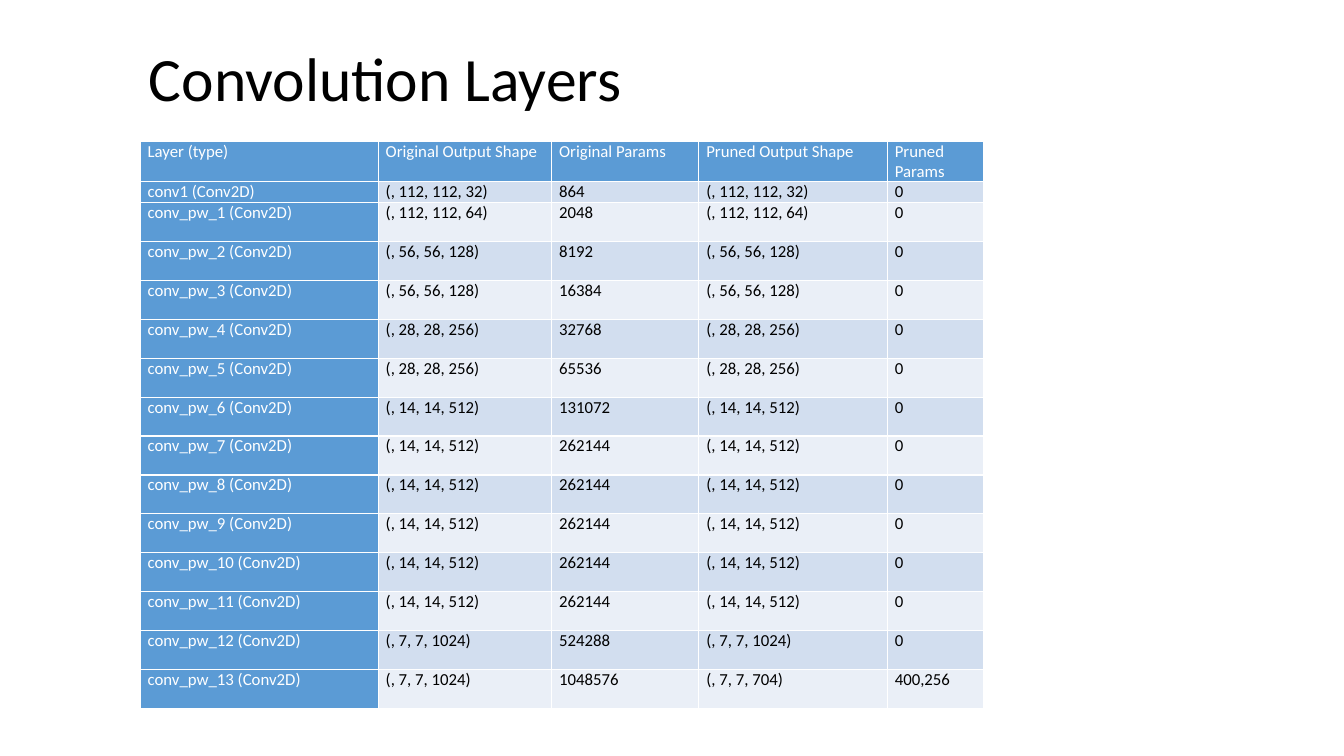
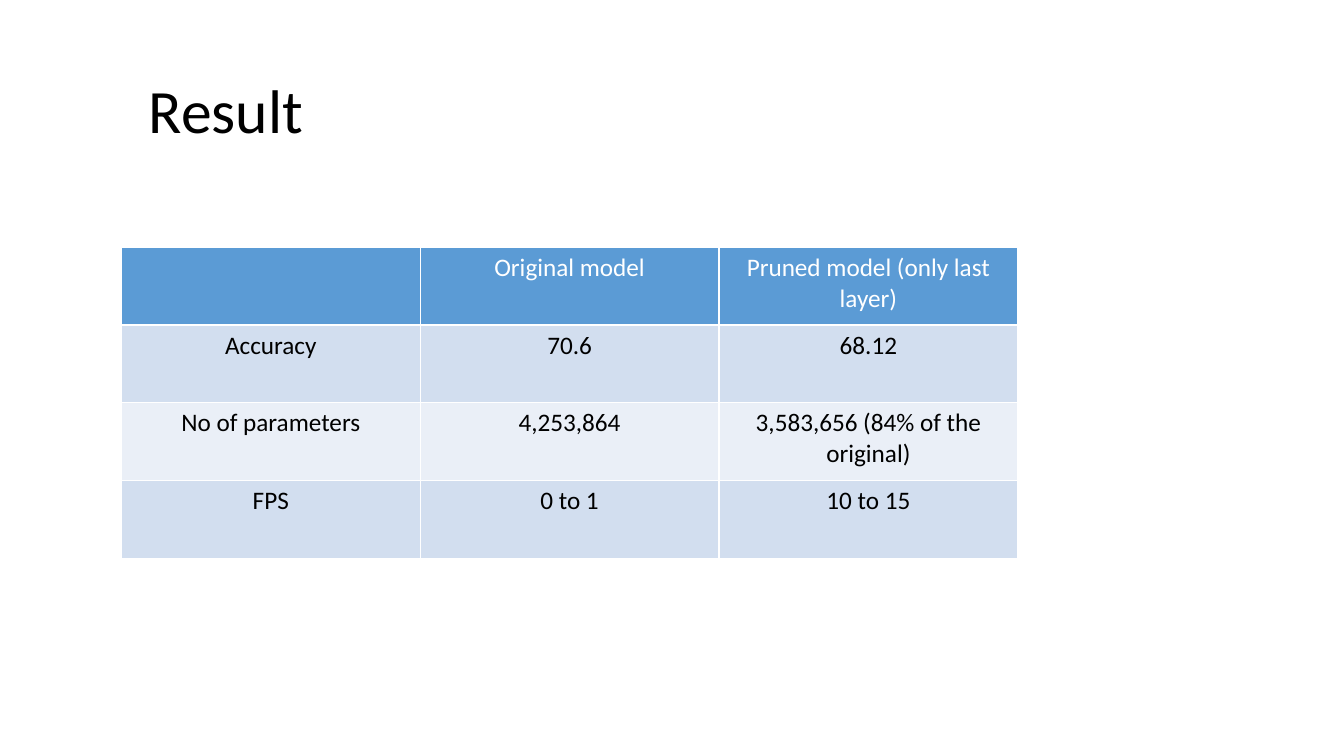
import pptx
import pptx.dml.color
import pptx.enum.text
import pptx.util

Cm, Pt = pptx.util.Cm, pptx.util.Pt
RGBColor = pptx.dml.color.RGBColor
PP_ALIGN = pptx.enum.text.PP_ALIGN

BLACK = RGBColor(0x00, 0x00, 0x00)
WHITE = RGBColor(0xFF, 0xFF, 0xFF)
HEADER_BLUE = RGBColor(0x5B, 0x9B, 0xD5)
BAND_COLORS = (RGBColor(0xEA, 0xEF, 0xF7), RGBColor(0xD2, 0xDE, 0xEF))


class Deck:
    """Holds the shared style and the current slide."""

    font = "Calibri"
    title_size = 44
    title_left, title_top, title_width = 3.5, 1.02, 26.92

    def __init__(self):
        self.presentation = pptx.Presentation()
        self.presentation.slide_width = Cm(33.87)
        self.presentation.slide_height = Cm(19.05)
        self.slide = None

    def add_slide(self, title, title_height):
        blank = self.presentation.slide_layouts[6]
        self.slide = self.presentation.slides.add_slide(blank)
        heading = self.slide.shapes.add_textbox(
            Cm(self.title_left), Cm(self.title_top),
            Cm(self.title_width), Cm(title_height)).text_frame
        heading.word_wrap = True
        heading.vertical_anchor = pptx.enum.text.MSO_ANCHOR.MIDDLE
        heading.paragraphs[0].line_spacing = 0.9
        self.add_run(heading.paragraphs[0], title, self.title_size, BLACK)

    def add_run(self, paragraph, text, size, color):
        run = paragraph.add_run()
        run.text = text
        run.font.name = self.font
        run.font.size = Pt(size)
        run.font.bold = False
        run.font.color.rgb = color

    def add_table(self, left, top, widths, heights, rows, size,
                  align=PP_ALIGN.LEFT, header_column=False, margins=None):
        """Add a banded table; margins are (side, top and bottom)."""
        table = self.slide.shapes.add_table(
            len(rows), len(widths), Cm(left), Cm(top),
            Cm(sum(widths)), Cm(sum(heights))).table
        table.first_col = header_column
        for column, width in zip(table.columns, widths):
            column.width = Cm(width)
        for r, (row, height, texts) in enumerate(zip(table.rows, heights, rows)):
            row.height = Cm(height)
            for c, (cell, text) in enumerate(zip(row.cells, texts)):
                is_header = r == 0 or (header_column and c == 0)
                cell.fill.solid()
                cell.fill.fore_color.rgb = HEADER_BLUE if is_header else BAND_COLORS[r % 2]
                if margins:
                    cell.margin_left = cell.margin_right = Cm(margins[0])
                    cell.margin_top = cell.margin_bottom = Cm(margins[1])
                paragraph = cell.text_frame.paragraphs[0]
                paragraph.alignment = align
                if text:
                    self.add_run(paragraph, text, size, WHITE if is_header else BLACK)


def convolution_rows():
    """Header, then one row per layer; only the last layer is pruned."""
    layers = [
        ("(, 112, 112, 32)", "864"),
        ("(, 112, 112, 64)", "2048"),
        ("(, 56, 56, 128)", "8192"),
        ("(, 56, 56, 128)", "16384"),
        ("(, 28, 28, 256)", "32768"),
        ("(, 28, 28, 256)", "65536"),
        ("(, 14, 14, 512)", "131072"),
        *[("(, 14, 14, 512)", "262144")] * 5,
        ("(, 7, 7, 1024)", "524288"),
        ("(, 7, 7, 1024)", "1048576"),
    ]
    rows = [["Layer (type)", "Original Output Shape", "Original Params",
             "Pruned Output Shape", "Pruned Params"]]
    for number, (shape, params) in enumerate(layers):
        layer = f"conv_pw_{number}" if number else "conv1"
        rows.append([f"{layer} (Conv2D)", shape, params, shape, "0"])
    rows[-1][-2:] = ["(, 7, 7, 704)", "400,256"]
    return rows


def main():
    deck = Deck()

    # Layer-by-layer comparison
    deck.add_slide("Convolution Layers", title_height=2.08)
    deck.add_table(
        3.53, 3.56, widths=[6, 4.37, 3.71, 4.75, 2.43],
        heights=[0.98, 0.53] + [0.98] * 13, rows=convolution_rows(),
        size=12, header_column=True, margins=(0.19, 0))

    # Overall result
    deck.add_slide("Result", title_height=3.68)
    deck.add_table(
        3.06, 6.23, widths=[7.53] * 3, heights=[1.96] * 4,
        rows=[
            ["", "Original model", "Pruned model (only last layer)"],
            ["Accuracy", "70.6", "68.12"],
            ["No of parameters", "4,253,864", "3,583,656 (84% of the original)"],
            ["FPS", "0 to 1", "10 to 15"],
        ],
        size=18, align=PP_ALIGN.CENTER)

    deck.presentation.save("out.pptx")


if __name__ == "__main__":
    main()
